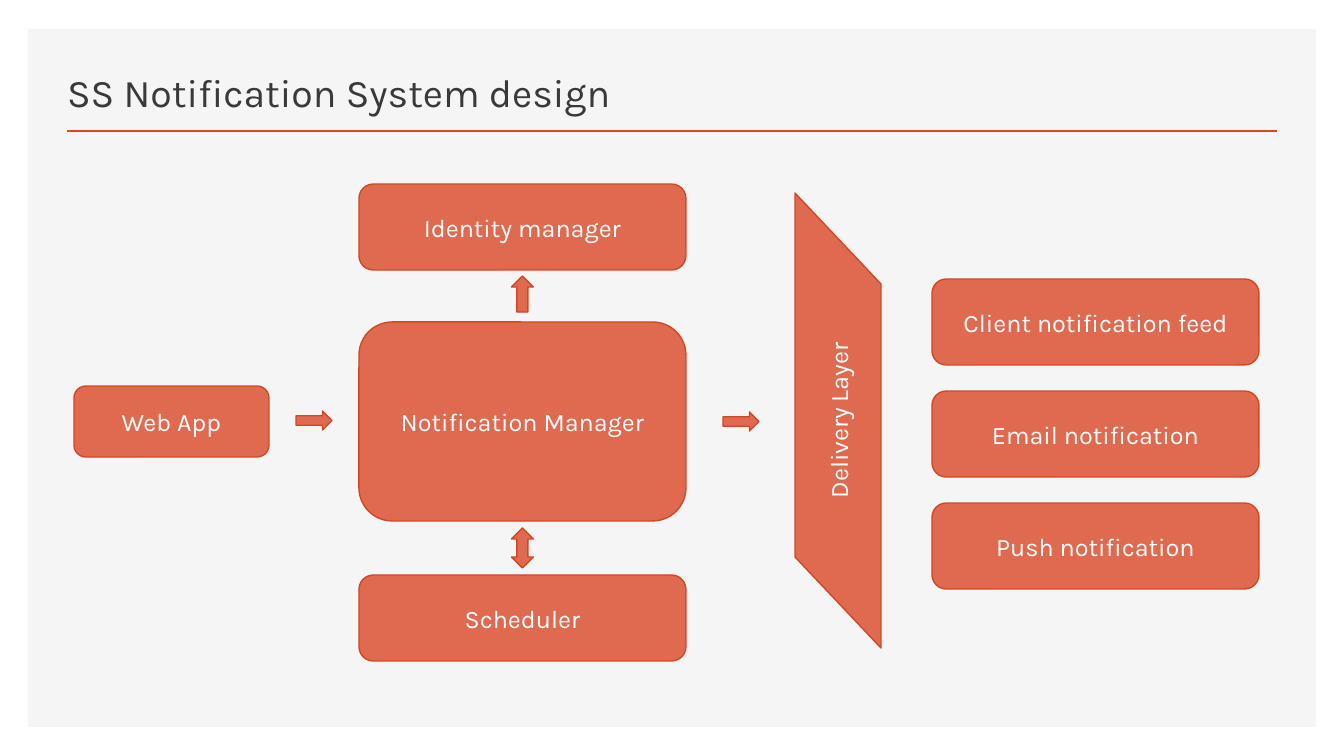
from lxml import etree
from pptx import Presentation
from pptx.dml.color import RGBColor
from pptx.enum.shapes import MSO_CONNECTOR, MSO_SHAPE
from pptx.enum.text import MSO_ANCHOR, PP_ALIGN
from pptx.oxml.ns import qn
from pptx.util import Pt

EMU_PER_PX = 914400 / 100.8
FONT = "Karla"

PANEL_GREY = RGBColor(0xF5, 0xF5, 0xF5)
TITLE_GREY = RGBColor(0x3B, 0x38, 0x38)
CORAL = RGBColor(0xDF, 0x6A, 0x4F)
RUST = RGBColor(0xD2, 0x47, 0x26)
WHITE = RGBColor(0xFF, 0xFF, 0xFF)

RECTANGLE = MSO_SHAPE.RECTANGLE
ROUNDED = MSO_SHAPE.ROUNDED_RECTANGLE
PARALLELOGRAM = MSO_SHAPE.FLOWCHART_DATA
RIGHT_ARROW = MSO_SHAPE.RIGHT_ARROW
UP_DOWN_ARROW = MSO_SHAPE.UP_DOWN_ARROW
STRAIGHT = MSO_CONNECTOR.STRAIGHT
LEFT, CENTER = PP_ALIGN.LEFT, PP_ALIGN.CENTER
MIDDLE, BOTTOM = MSO_ANCHOR.MIDDLE, MSO_ANCHOR.BOTTOM

TITLE_ONLY = 5
ARROW_LENGTH = 36
MODULE_HEIGHT = 86


def px(length):
    return round(length * EMU_PER_PX)


def write_text(shape, text, size=18, color=WHITE, align=CENTER, anchor=MIDDLE):
    frame = shape.text_frame
    frame.word_wrap = True
    frame.vertical_anchor = anchor
    paragraph = frame.paragraphs[0]
    paragraph.alignment = align
    run = paragraph.add_run()
    run.text = text
    run.font.name = FONT
    run.font.size = Pt(size)
    run.font.color.rgb = color


def add_block(slide, kind, box, text=None, rotation=0, fill=CORAL, line=RUST):
    shape = slide.shapes.add_shape(kind, *map(px, box))
    shape.shadow.inherit = False
    shape.rotation = rotation
    shape.fill.solid()
    shape.fill.fore_color.rgb = fill
    if line is None:
        shape.line.fill.background()
    else:
        shape.line.color.rgb = line
        shape.line.width = Pt(1)
    if text:
        write_text(shape, text)
    return shape


def add_frame(slide, box, title_text):
    left, top, width, height = box
    panel = add_block(slide, RECTANGLE, box, fill=PANEL_GREY, line=None)
    rule_y = px(top + 102)
    rule = slide.shapes.add_connector(
        STRAIGHT, px(left + 39), rule_y, px(left + width - 39), rule_y)
    rule.line.color.rgb = RUST
    rule.line.width = Pt(2)
    etree.SubElement(rule.element.spPr, qn("a:effectLst"))

    title = slide.shapes.title
    title.left, title.top = px(left + 29), px(top + 20)
    title.width, title.height = px(758), px(71)
    write_text(title, title_text, size=28, color=TITLE_GREY, align=LEFT, anchor=BOTTOM)
    for backdrop in (panel, rule):
        title.element.addprevious(backdrop.element)


def add_core(slide, box):
    left, top, width, height = box
    center = left + width / 2
    manager_top = top + 138
    scheduler_top = top + height - MODULE_HEIGHT
    modules = [
        ("Notification Manager", manager_top, 199),
        ("Scheduler", scheduler_top, MODULE_HEIGHT),
        ("Identity manager", top, MODULE_HEIGHT),
    ]
    for text, module_top, module_height in modules:
        add_block(slide, ROUNDED, (left, module_top, width, module_height), text)
    add_block(slide, UP_DOWN_ARROW, (center - 11, scheduler_top - 47, 22, 40))
    add_block(slide, RIGHT_ARROW,
              (center - ARROW_LENGTH / 2, manager_top - 39, ARROW_LENGTH, 22),
              rotation=270)


def add_delivery_layer(slide, box):
    left, top, width, height = box
    unrotated = (left + (width - height) / 2, top + (height - width) / 2, height, width)
    add_block(slide, PARALLELOGRAM, unrotated, "Delivery Layer", rotation=270)


def add_channels(slide, box, channels):
    left, top, width, height = box
    pitch = (height - MODULE_HEIGHT) / (len(channels) - 1)
    for index, channel in enumerate(channels):
        add_block(slide, ROUNDED,
                  (left, top + index * pitch, width, MODULE_HEIGHT), channel)


def main():
    presentation = Presentation()
    presentation.slide_width = px(1344)
    presentation.slide_height = px(756)
    slide = presentation.slides.add_slide(presentation.slide_layouts[TITLE_ONLY])

    add_frame(slide, (28, 29, 1288, 698), "SS Notification System design")
    add_block(slide, ROUNDED, (74, 386, 195, 71), "Web App")
    add_core(slide, (359, 184, 327, 477))
    add_delivery_layer(slide, (795, 193, 86, 455))
    add_channels(slide, (932, 279, 327, 310), [
        "Client notification feed", "Email notification", "Push notification"])
    for arrow_left, arrow_top in ((296, 411), (723, 412)):
        add_block(slide, RIGHT_ARROW, (arrow_left, arrow_top, ARROW_LENGTH, 19))

    presentation.save("out.pptx")


if __name__ == "__main__":
    main()
